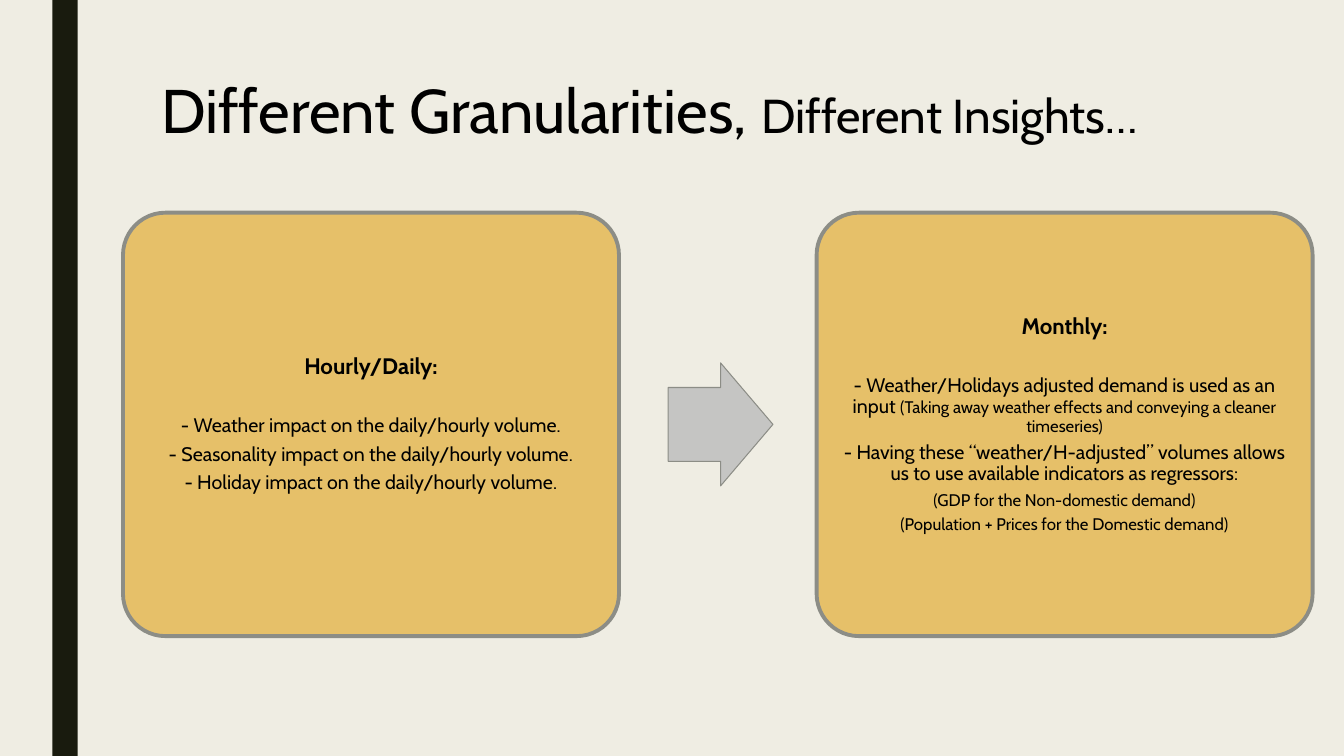
from dataclasses import dataclass

from pptx import Presentation
from pptx.dml.color import RGBColor
from pptx.enum.shapes import MSO_SHAPE
from pptx.enum.text import MSO_ANCHOR, PP_ALIGN
from pptx.shapes.autoshape import Shape
from pptx.slide import Slide
from pptx.text.text import _Paragraph
from pptx.util import Cm, Pt

COLORS = {
    "background": "EFEDE3",
    "side_bar": "191B0E",
    "panel": "E6C069",
    "arrow": "C5C5C3",
    "outline": "8C8D86",
    "text": "000000",
}
FONT = "Cabin"
SLIDE_WIDTH, SLIDE_HEIGHT = 33.87, 19.05
PANEL_TOP, PANEL_WIDTH, PANEL_HEIGHT = 5.36, 12.5, 10.67
ARROW_WIDTH, ARROW_HEIGHT = 2.64, 3.1
HEADING_SIZE, POINT_SIZE, DETAIL_SIZE = 16, 14, 12
HEADING_GAP = 26
PARAGRAPH_GAP = 0.35  # share of the text size


@dataclass(frozen=True)
class Span:
    text: str
    size: float
    bold: bool = False


@dataclass(frozen=True)
class Panel:
    left: float
    heading: str
    points: list[list[Span]]


PANELS = [
    Panel(3.1, "Hourly/Daily:", [
        [Span("- Weather impact on the daily/hourly volume.", POINT_SIZE)],
        [Span("- Seasonality impact on the daily/hourly volume.", POINT_SIZE)],
        [Span("- Holiday impact on the daily/hourly volume.", POINT_SIZE)],
    ]),
    Panel(20.58, "Monthly:", [
        [Span("- Weather/Holidays adjusted demand is used as an input ", POINT_SIZE),
         Span("(Taking away weather effects and conveying a cleaner timeseries)", DETAIL_SIZE)],
        [Span("- Having these “weather/H-adjusted” volumes allows us to use "
              "available indicators as regressors:", POINT_SIZE)],
        [Span("(GDP for the Non-domestic demand)", DETAIL_SIZE)],
        [Span("(Population + Prices for the Domestic demand)", DETAIL_SIZE)],
    ]),
]


def rgb(name: str) -> RGBColor:
    return RGBColor.from_string(COLORS[name])


def add_block(slide: Slide, kind: MSO_SHAPE, box: tuple[float, ...], fill: str,
              line_width: float = 0, adjustments: tuple[float, ...] = ()) -> Shape:
    block = slide.shapes.add_shape(kind, *map(Cm, box))
    block.shadow.inherit = False
    block.fill.solid()
    block.fill.fore_color.rgb = rgb(fill)
    if line_width:
        block.line.color.rgb = rgb("outline")
        block.line.width = Pt(line_width)
    else:
        block.line.fill.background()
    for index, value in enumerate(adjustments):
        block.adjustments[index] = value
    return block


def write_spans(paragraph: _Paragraph, spans: list[Span], **paragraph_format) -> None:
    for attribute, value in paragraph_format.items():
        setattr(paragraph, attribute, value)
    for span in spans:
        run = paragraph.add_run()
        run.text = span.text
        font_format = {"name": FONT, "size": Pt(span.size), "bold": span.bold}
        for attribute, value in font_format.items():
            setattr(run.font, attribute, value)
        run.font.color.rgb = rgb("text")


def add_title(slide: Slide) -> None:
    title = slide.shapes.add_textbox(Cm(3.81), Cm(1.91), Cm(26.67), Cm(2.13))
    title.text_frame.word_wrap = True
    spans = [Span("Different Granularities, ", 44), Span("Different Insights…", 34)]
    write_spans(title.text_frame.paragraphs[0], spans, line_spacing=0.89)


def add_panel(slide: Slide, panel: Panel) -> None:
    box = (panel.left, PANEL_TOP, PANEL_WIDTH, PANEL_HEIGHT)
    frame = add_block(slide, MSO_SHAPE.ROUNDED_RECTANGLE, box, "panel", 2.75, (0.1,)).text_frame
    frame_format = {"word_wrap": True, "vertical_anchor": MSO_ANCHOR.MIDDLE}
    for side in ("left", "top", "right", "bottom"):
        frame_format[f"margin_{side}"] = Cm(0.18)
    for attribute, value in frame_format.items():
        setattr(frame, attribute, value)

    centred = {"alignment": PP_ALIGN.CENTER, "line_spacing": 0.9}
    write_spans(frame.paragraphs[0], [Span(panel.heading, HEADING_SIZE, True)],
                space_after=Pt(HEADING_GAP), **centred)
    for spans in panel.points:
        gap = Pt(PARAGRAPH_GAP * spans[0].size)
        write_spans(frame.add_paragraph(), spans, space_after=gap, **centred)


def main() -> None:
    presentation = Presentation()
    presentation.slide_width = Cm(SLIDE_WIDTH)
    presentation.slide_height = Cm(SLIDE_HEIGHT)
    slide = presentation.slides.add_slide(presentation.slide_layouts[6])

    # Background, side bar and title
    slide.background.fill.solid()
    slide.background.fill.fore_color.rgb = rgb("background")
    add_block(slide, MSO_SHAPE.RECTANGLE, (1.32, 0, 0.64, SLIDE_HEIGHT), "side_bar")
    add_title(slide)

    # Panels with the arrow between them
    for panel in PANELS:
        add_panel(slide, panel)
    arrow_top = PANEL_TOP + (PANEL_HEIGHT - ARROW_HEIGHT) / 2
    add_block(slide, MSO_SHAPE.RIGHT_ARROW, (16.84, arrow_top, ARROW_WIDTH, ARROW_HEIGHT),
              "arrow", 0.75, (0.6, 0.5))

    presentation.save("out.pptx")


if __name__ == "__main__":
    main()
